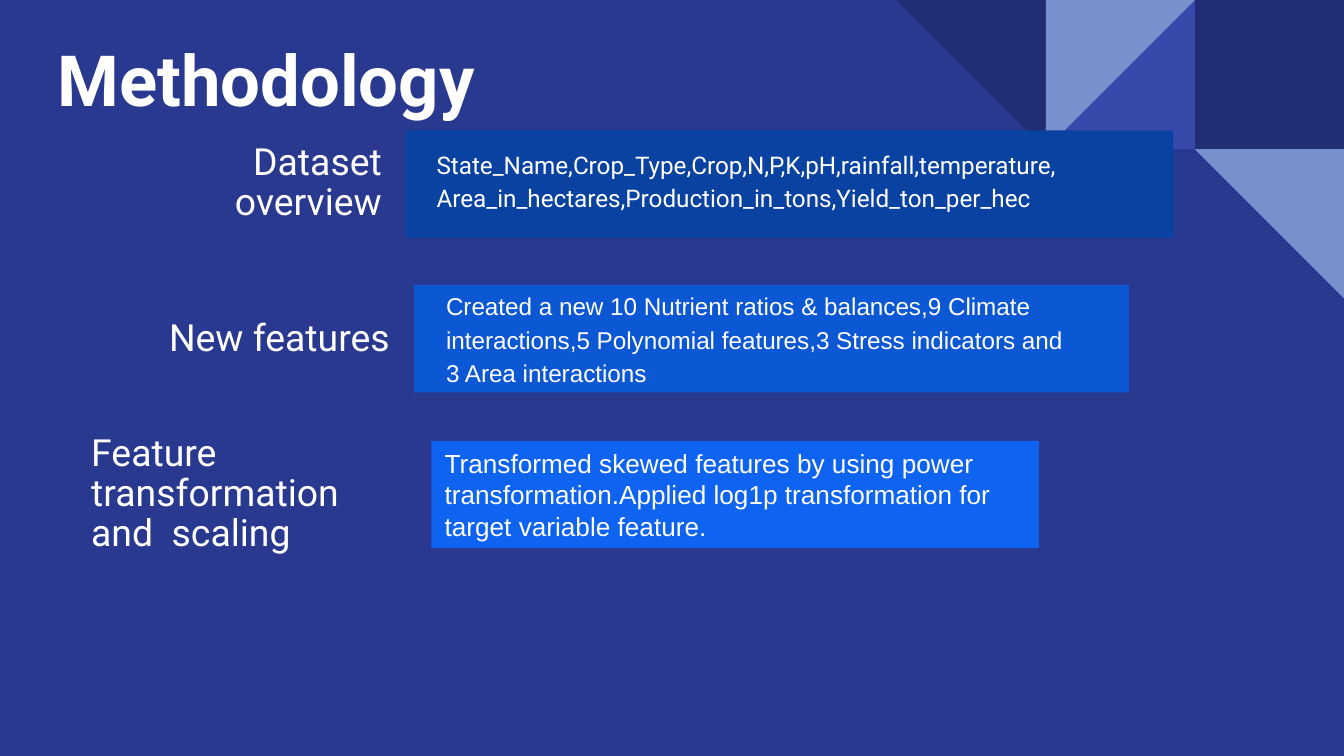
from pptx import Presentation
from pptx import util as u
from pptx.dml.color import RGBColor
from pptx.enum import shapes, text

NAVY = RGBColor(0x2A, 0x39, 0x90)
DARK = RGBColor(0x21, 0x2D, 0x74)
INDIGO = RGBColor(0x39, 0x49, 0xAB)
PALE = RGBColor(0x78, 0x90, 0xCD)
BLUE_1 = RGBColor(0x09, 0x42, 0xA1)
BLUE_2 = RGBColor(0x0C, 0x57, 0xD3)
BLUE_3 = RGBColor(0x0E, 0x63, 0xF0)
WHITE = RGBColor(0xFF, 0xFF, 0xFF)
LEFT, RIGHT = text.PP_ALIGN.LEFT, text.PP_ALIGN.RIGHT
RECT = shapes.MSO_SHAPE.RECTANGLE
TRIANGLE = shapes.MSO_SHAPE.RIGHT_TRIANGLE

# Widescreen 16:9
prs = Presentation()
prs.slide_width, prs.slide_height = u.Inches(10), u.Inches(10 * 9 / 16)
s = prs.slides.add_slide(prs.slide_layouts[6])
s.background.fill.solid()
s.background.fill.fore_color.rgb = NAVY


def add_block(kind, box, color, rotation=0):
    sp = s.shapes.add_shape(kind, *[u.Inches(v) for v in box])
    sp.shadow.inherit = False
    sp.fill.solid()
    sp.fill.fore_color.rgb = color
    sp.line.fill.background()
    sp.rotation = rotation
    return sp


def write(sp, lines, size, font, align=LEFT, spacing=1.0, bold=False):
    tf = sp.text_frame
    tf.word_wrap = True
    tf.vertical_anchor = text.MSO_ANCHOR.MIDDLE
    for i, line in enumerate(lines):
        p = tf.add_paragraph() if i else tf.paragraphs[0]
        p.alignment = align
        p.line_spacing = spacing
        r = p.add_run()
        r.text = line
        r.font.size = u.Pt(size)
        r.font.name = font
        r.font.bold = bold
        r.font.color.rgb = WHITE


# Corner mosaic: column and row counted from its top left tile
TILE = 1.11
MOSAIC_LEFT = 10 - 3 * TILE
for kind, col, row, color, rotation in [
    (RECT, 2, 0, DARK, 0),
    (TRIANGLE, 1, 0, INDIGO, 270),
    (TRIANGLE, 1, 0, PALE, 90),
    (TRIANGLE, 0, 0, DARK, 180),
    (TRIANGLE, 2, 1, PALE, 180),
]:
    add_block(kind, (MOSAIC_LEFT + col * TILE, row * TILE, TILE, TILE), color, rotation)

# Title
title = s.shapes.add_textbox(u.Inches(0.33), u.Inches(0.35), u.Inches(7.64), u.Inches(0.46))
write(title, ["Methodology"], 37.8, "Roboto", bold=True)

# Bars behind the descriptions
add_block(RECT, (3.02, 0.97, 5.71, 0.8), BLUE_1)
add_block(RECT, (3.08, 2.12, 5.32, 0.8), BLUE_2)
scaling_bar = add_block(RECT, (3.21, 3.28, 4.52, 0.8), BLUE_3)
write(scaling_bar, ["Transformed skewed features by using power transformation."
                    "Applied log1p transformation for target variable feature."], 14, "Arial")

# Step labels and descriptions
for box, lines, size, font, align, spacing in [
    ((0.66, 1.02, 2.28, 0.69), ["Dataset overview"], 20, "Roboto", RIGHT, 0.9),
    ((3.15, 1.02, 5.21, 0.63),
     ["State_Name,Crop_Type,Crop,N,P,K,pH,rainfall,temperature,",
      "Area_in_hectares,Production_in_tons,Yield_ton_per_hec"], 13, "Roboto", LEFT, 1.15),
    ((0.52, 2.18, 2.48, 0.69), ["New features"], 20, "Roboto", RIGHT, 0.9),
    ((3.22, 2.11, 4.78, 0.8),
     ["Created a new 10 Nutrient ratios & balances,9 Climate interactions,"
      "5 Polynomial features,3 Stress indicators and 3 Area interactions"],
     13, "Arial", LEFT, 1.15),
    ((0.58, 3.28, 2.39, 0.8), ["Feature transformation and  scaling"], 20, "Roboto", LEFT, 0.9),
]:
    tb = s.shapes.add_textbox(*[u.Inches(v) for v in box])
    write(tb, lines, size, font, align, spacing)

prs.save("out.pptx")
